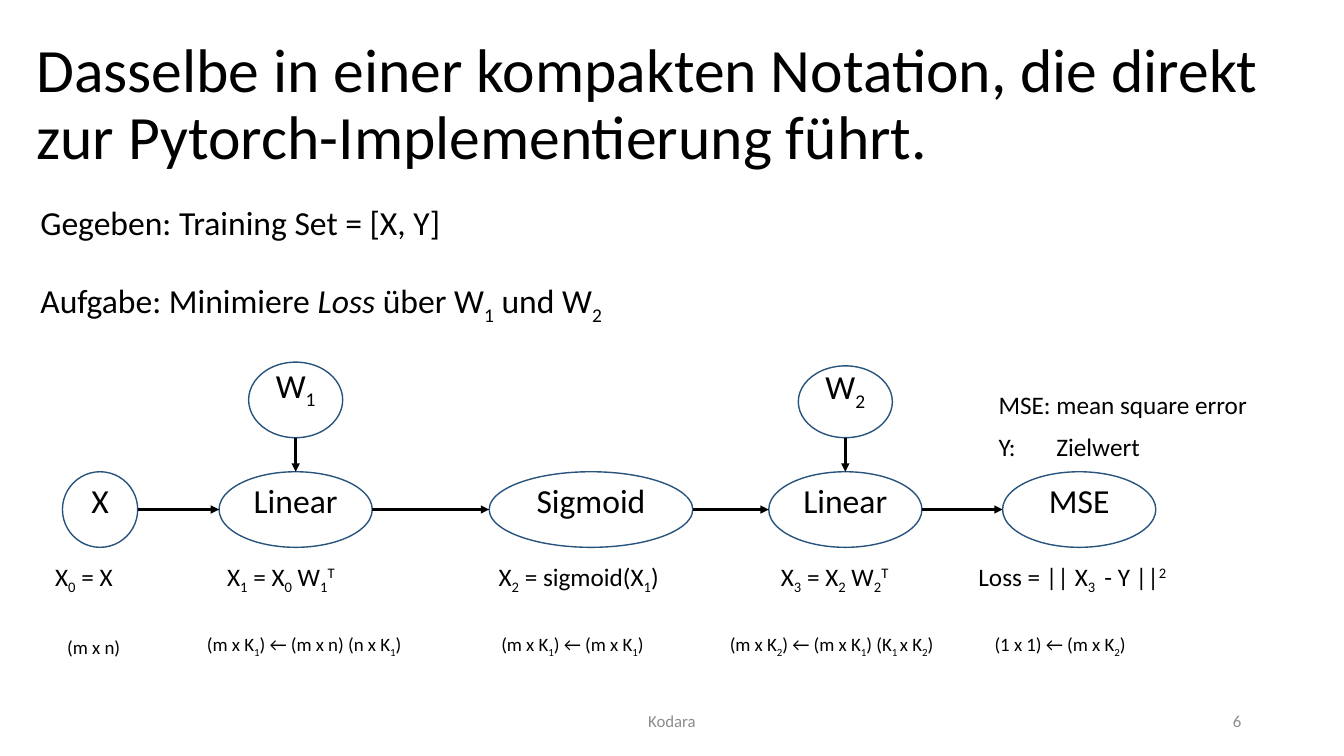
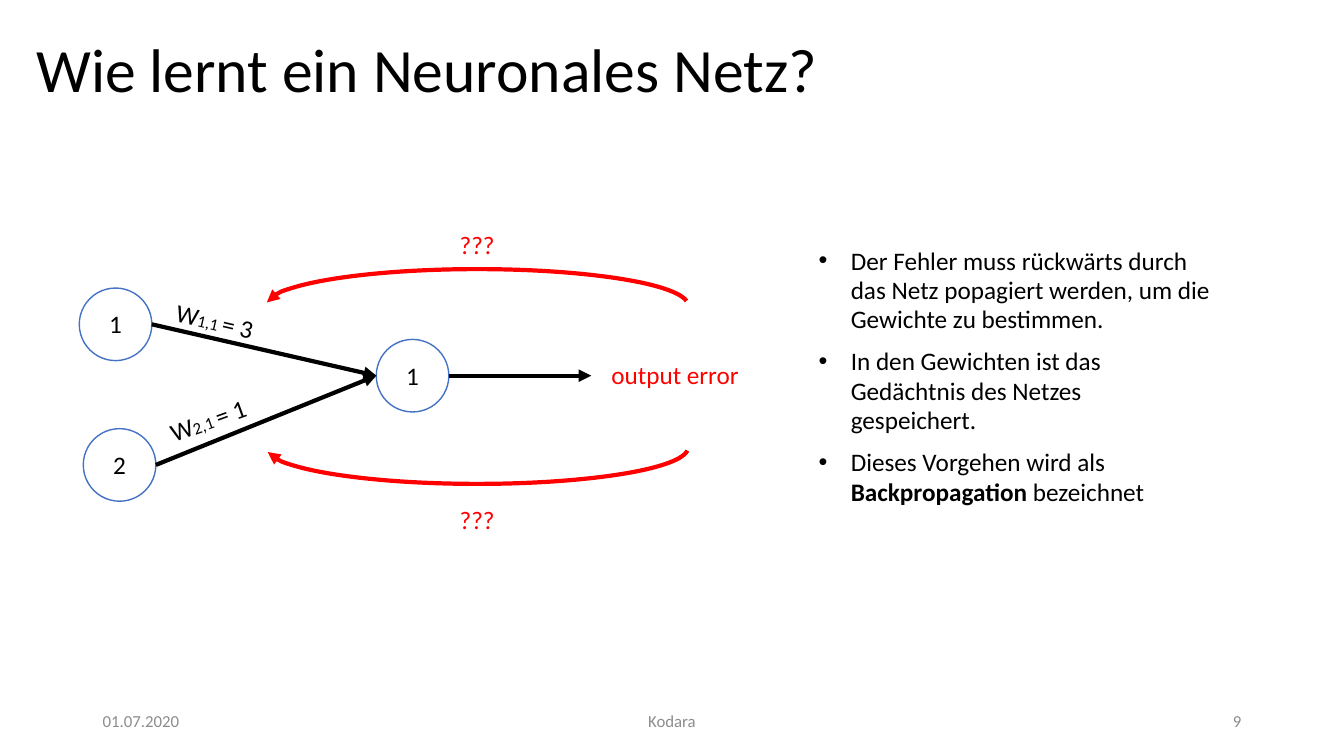
from lxml import etree
from pptx import Presentation
from pptx import util as u
from pptx.dml.color import RGBColor
from pptx.enum import shapes, text
from pptx.oxml.ns import qn

BLACK = RGBColor(0x00, 0x00, 0x00)
WHITE = RGBColor(0xFF, 0xFF, 0xFF)
RED = RGBColor(0xFF, 0x00, 0x00)
GREY = RGBColor(0x8C, 0x8C, 0x8C)
NAVY = RGBColor(0x28, 0x53, 0x7D)
BLUE = RGBColor(0x44, 0x72, 0xC4)
FONT = "Calibri"
BODY = 18

SLIDE_W, SLIDE_H = u.Inches(13.33), u.Inches(7.5)
LEFT, CENTER, RIGHT = text.PP_ALIGN.LEFT, text.PP_ALIGN.CENTER, text.PP_ALIGN.RIGHT
# Points on a node's rim, as shares of its width and height
TOP_RIM, LEFT_RIM, BOTTOM_RIM, RIGHT_RIM = (0.5, 0), (0, 0.5), (0.5, 1), (1, 0.5)


def col(share):
    """Length in hundredths of the slide's width."""
    return u.Emu(round(SLIDE_W * share / 100))


def row(share):
    """Length in hundredths of the slide's height."""
    return u.Emu(round(SLIDE_H * share / 100))


def grid(left, top, width, height):
    return col(left), row(top), col(width), row(height)


def write(paragraph, marked, size=BODY, color=BLACK, align=LEFT, spacing=u.Pt(21), after=9):
    """Fill a paragraph; ~ parts runs, a leading _ ^ # * / means
    subscript, superscript, small, bold or italic."""
    paragraph.alignment = align
    paragraph.line_spacing = spacing
    paragraph.space_before, paragraph.space_after = u.Pt(0), u.Pt(after)
    for part in marked.split("~"):
        mark = part[0] if part[0] in "_^#*/" else ""
        run = paragraph.add_run()
        run.text = part[len(mark):]
        run.font.name, run.font.color.rgb = FONT, color
        run.font.size = u.Pt(12 if mark == "#" else size)
        if mark == "*":
            run.font.bold = True
        elif mark == "/":
            run.font.italic = True
        elif mark in ("_", "^"):
            run._r.get_or_add_rPr().set("baseline", "-25000" if mark == "_" else "30000")


def open_frame(shape, inset=0):
    frame = shape.text_frame
    frame.word_wrap = True
    frame.auto_size = text.MSO_AUTO_SIZE.NONE
    frame.vertical_anchor = text.MSO_ANCHOR.TOP
    frame.margin_left = frame.margin_right = u.Inches(inset)
    frame.margin_top = frame.margin_bottom = u.Inches(inset / 2)
    return frame


def label(slide, place, marked, rotation=0, **style):
    box = slide.shapes.add_textbox(*grid(*place))
    box.rotation = rotation
    write(open_frame(box).paragraphs[0], marked, **style)
    return box


def footer(slide, left, width, caption, align):
    box = slide.shapes.add_textbox(*grid(left, 92.7, width, 5.3))
    frame = open_frame(box, inset=0.1)
    frame.vertical_anchor = text.MSO_ANCHOR.MIDDLE
    write(frame.paragraphs[0], caption, size=12, color=GREY, align=align,
          spacing=1.0, after=0)


def place_placeholder(shape, place):
    shape.left, shape.top, shape.width, shape.height = grid(*place)
    return open_frame(shape)


def new_slide(deck, headline, number, date=None):
    slide = deck.slides.add_slide(deck.slide_layouts[1])
    title = place_placeholder(slide.shapes.title, (2.7, 5.2, 94.2, 13.3))
    for index, line in enumerate(headline):
        if index:
            title.paragraphs[0].add_line_break()
        write(title.paragraphs[0], line, size=44, spacing=0.9, after=0)
    if date:
        footer(slide, 6.9, 22.5, date, LEFT)
    footer(slide, 33.1, 33.8, "Kodara", CENTER)
    footer(slide, 70.6, 22.5, number, RIGHT)
    return slide


def fill_body(slide, place, items, bulleted, **style):
    frame = place_placeholder(slide.placeholders[1], place)
    hang = col(2.4) if bulleted else 0
    for index, item in enumerate(items):
        paragraph = frame.add_paragraph() if index else frame.paragraphs[0]
        write(paragraph, item, **style)
        props = paragraph._p.get_or_add_pPr()
        props.set("marL", str(hang))
        props.set("indent", str(-hang))
        if not bulleted:
            etree.SubElement(props, qn("a:buNone"))


def node(slide, place, marked, outline, fill=None, **style):
    oval = slide.shapes.add_shape(shapes.MSO_SHAPE.OVAL, *grid(*place))
    oval.shadow.inherit = False
    if fill is None:
        oval.fill.background()
    else:
        oval.fill.solid()
        oval.fill.fore_color.rgb = fill
    oval.line.color.rgb, oval.line.width = outline, u.Pt(1)
    write(oval.text_frame.paragraphs[0], marked, align=CENTER, after=0, **style)
    return oval


def draw_line(shape, color, weight, arrow_end):
    """Style a line; arrow_end is headEnd (start) or tailEnd (finish)."""
    shape.line.color.rgb, shape.line.width = color, u.Pt(weight)
    etree.SubElement(shape.line._get_or_add_ln(), qn("a:" + arrow_end), type="triangle")


def rim(oval, side):
    return (u.Emu(round(oval.left + oval.width * side[0])),
            u.Emu(round(oval.top + oval.height * side[1])))


def arrow(slide, start, end, weight):
    line = slide.shapes.add_connector(shapes.MSO_CONNECTOR.STRAIGHT, *start, *end)
    draw_line(line, BLACK, weight, "tailEnd")
    etree.SubElement(line._element.spPr, qn("a:effectLst"))


def feedback_arc(slide, top, rotation, arrow_end):
    arc = slide.shapes.add_shape(shapes.MSO_SHAPE.ARC, *grid(19.8, top, 31.4, 9.6))
    arc.adjustments[0], arc.adjustments[1] = 108.49, 215.27
    arc.rotation = rotation
    arc.shadow.inherit = False
    arc.fill.background()
    draw_line(arc, RED, 3, arrow_end)


def legend(slide):
    box = label(slide, (74.3, 51.6, 19.5, 9.6), "MSE: mean square error")
    target = box.text_frame.add_paragraph()
    write(target, "Y:\tZielwert")
    tabs = etree.SubElement(target._p.get_or_add_pPr(), qn("a:tabLst"))
    etree.SubElement(tabs, qn("a:tab"), pos=str(col(4.3)), algn="l")


def build_notation(deck):
    slide = new_slide(deck, ["Dasselbe in einer kompakten Notation, die direkt",
                             "zur Pytorch-Implementierung führt."], "6")
    fill_body(slide, (3, 28.1, 63.8, 15.3),
              ["Gegeben: Training Set = [X, Y]",
               "Aufgabe: Minimiere ~/Loss ~über W~_1~ und W~_2"],
              bulleted=False, size=24, after=39)

    # left, width, operation, formula left, formula, dimensions left, dimensions
    stages = [
        (4.65, 5.6, "X", 4.1, "X~_0~ = X", 5, "(m x n)"),
        (16.3, 11.4, "Linear", 16.9, "X~_1~ = X~_0~ W~_1~^T",
         15.4, "(m x K~_1~) ← (m x n) (n x K~_1~)"),
        (36.4, 15.15, "Sigmoid", 37.1, "X~_2~ = sigmoid(X~_1~)",
         37.3, "(m x K~_1~) ← (m x K~_1~)"),
        (57.2, 11.4, "Linear", 58.1, "X~_3~ = X~_2~ W~_2~^T",
         54.3, "(m x K~_2~) ← (m x K~_1~) (K~_1 ~x K~_2~)"),
        (74.6, 11.4, "MSE", 72.8, "Loss = || X~_3 ~ - Y ||~^2",
         74, "(1 x 1) ← (m x K~_2~)"),
    ]
    oval_style = dict(outline=NAVY, fill=WHITE, size=24, spacing=u.Pt(15))
    operations = []
    for left, width, name, formula_left, formula, dims_left, dims in stages:
        operations.append(node(slide, (left, 62.4, width, 10), name, **oval_style))
        room = 10 if name == "X" else 16.8
        label(slide, (formula_left, 74.9, room, 3.9), formula)
        label(slide, (dims_left, 83.2, room, 3.6), dims, size=13.5)
    for source, target in zip(operations, operations[1:]):
        arrow(slide, rim(source, RIGHT_RIM), rim(target, LEFT_RIM), 1.75)

    weight_width, weight_bottom = 7, 57.9
    for stage, name, height in ((1, "W~_1", 10), (3, "W~_2", 9.5)):
        left = stages[stage][0] + (stages[stage][1] - weight_width) / 2
        weight = node(slide, (left, weight_bottom - height, weight_width, height),
                      name, **oval_style)
        arrow(slide, rim(weight, BOTTOM_RIM), rim(operations[stage], TOP_RIM), 1.75)
    legend(slide)


def build_learning(deck):
    slide = new_slide(deck, ["Wie lernt ein Neuronales Netz?"], "9", "01.07.2020")
    first, second, output = [
        node(slide, (left, top, 5.4, 9.6), value, BLUE, spacing=u.Pt(21))
        for left, top, value in ((5.9, 38.1, "1"), (6.2, 56.7, "2"), (28, 44.9, "1"))]
    for source in (first, second):
        arrow(slide, rim(source, RIGHT_RIM), rim(output, LEFT_RIM), 3)
    arrow(slide, rim(output, RIGHT_RIM), (col(44), row(49.7)), 3)

    label(slide, (13, 41.6, 11.3, 3.9), "W~#1,1 ~= 3", rotation=13.1)
    label(slide, (12.4, 52, 11.3, 3.9), "W~#2,1 ~= 1", rotation=340.2)
    label(slide, (45.5, 47.7, 11.3, 3.9), "output error", color=RED)
    for arc_top, rotation, arrow_end, mark_top in ((35.6, 0, "headEnd", 30.5),
                                                   (54.4, 180, "tailEnd", 66.8)):
        feedback_arc(slide, arc_top, rotation, arrow_end)
        label(slide, (34.2, mark_top, 11.3, 3.9), "???", color=RED)

    fill_body(slide, (60.9, 32.5, 29.3, 34.8),
              ["Der Fehler muss rückwärts durch das Netz popagiert werden, "
               "um die Gewichte zu bestimmen.",
               "In den Gewichten ist das Gedächtnis des Netzes gespeichert.",
               "Dieses Vorgehen wird als ~*Backpropagation~ bezeichnet"],
              bulleted=True)


def main():
    deck = Presentation()
    deck.slide_width, deck.slide_height = SLIDE_W, SLIDE_H
    build_notation(deck)
    build_learning(deck)
    deck.save("out.pptx")


if __name__ == "__main__":
    main()
